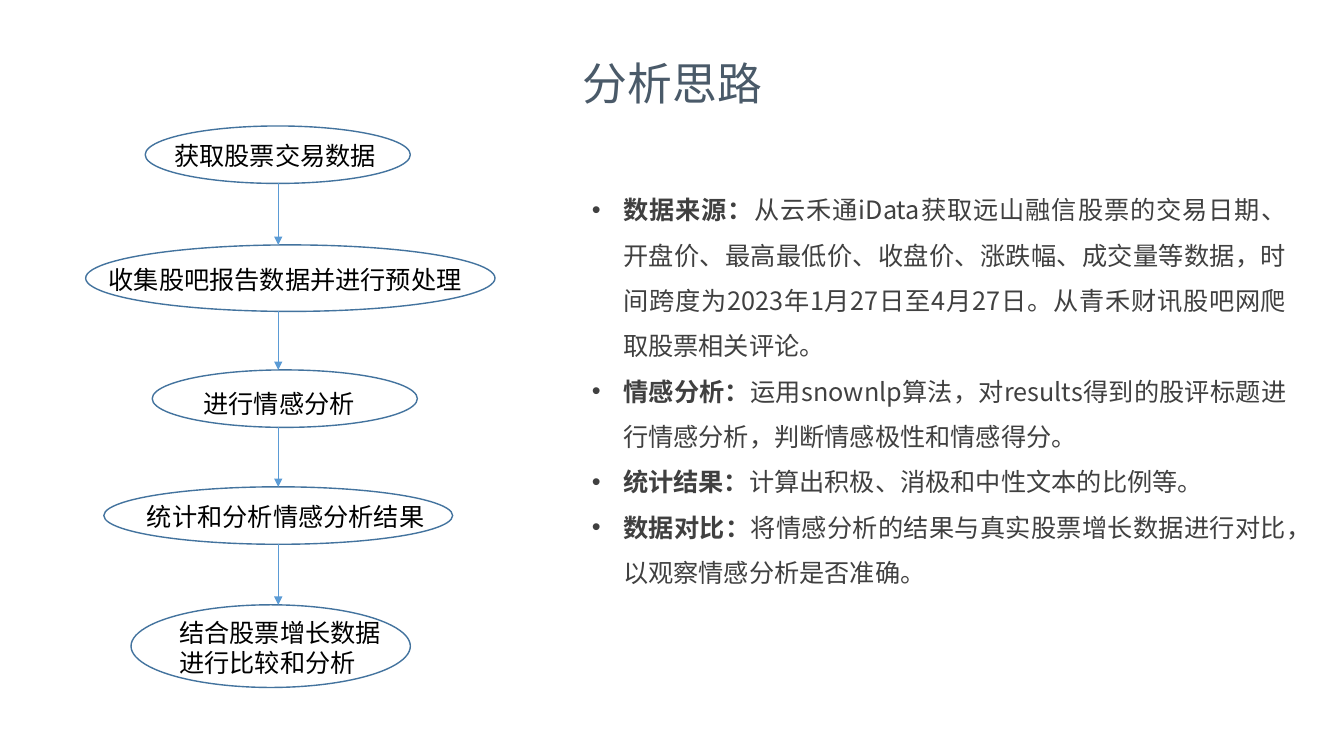
from itertools import pairwise

from lxml.etree import SubElement
from pptx import Presentation
from pptx.dml.color import RGBColor as Rgb
from pptx.enum.shapes import MSO_CONNECTOR as Link, MSO_SHAPE as Kind
from pptx.enum.text import MSO_ANCHOR as Anchor, MSO_AUTO_SIZE as Fit, PP_ALIGN as Align
from pptx.oxml.ns import qn
from pptx.util import Inches, Pt

HUES = {"title": "4A5A69", "body": "404040", "step": "000000", "rim": "43739E", "arrow": "5B9BD5"}
SANS = "Noto Sans CJK SC"
AXIS = 2.76
STEPS = [
    ((1.44, 1.25, 2.63, 0.57), (1.63, 1.34, 2.86, 0.4), "获取股票交易数据"),
    ((0.85, 2.43, 4.06, 0.66), (0.98, 2.57, 4.15, 0.4), "收集股吧报告数据并进行预处理"),
    ((1.51, 3.67, 2.63, 0.57), (1.92, 3.8, 1.88, 0.4), "进行情感分析"),
    ((1.03, 4.83, 3.46, 0.57), (1.36, 4.92, 3.16, 0.4), "统计和分析情感分析结果"),
    ((1.3, 6, 2.77, 0.82), (1.68, 6.07, 2.36, 0.71), "结合股票增长数据进行比较和分析"),
]
NOTES = [
    ("数据来源：", "从云禾通iData获取远山融信股票的交易日期、开盘价、最高最低价、收盘价、涨跌幅、"
     "成交量等数据，时间跨度为2023年1月27日至4月27日。从青禾财讯股吧网爬取股票相关评论。"),
    ("情感分析：", "运用snownlp算法，对results得到的股评标题进行情感分析，判断情感极性和情感得分。"),
    ("统计结果：", "计算出积极、消极和中性文本的比例等。"),
    ("数据对比：", "将情感分析的结果与真实股票增长数据进行对比，以观察情感分析是否准确。"),
]


def apply(item, form):
    for key, value in form.items():
        setattr(item, key, value)


class Deck:
    """Holds the text styles and the current slide."""

    def __init__(self):
        self.show = Presentation()
        apply(self.show, {"slide_width": Inches(13.33), "slide_height": Inches(7.5)})
        self.slide = self.show.slides.add_slide(self.show.slide_layouts[1])
        self.fonts = {
            "title": {"size": Pt(32), "name": SANS},
            "body": {"size": Pt(18), "name": SANS},
            "step": {"size": Pt(18), "name": "Calibri"},
        }

    def place(self, shape, box):
        apply(shape, dict(zip(("left", "top", "width", "height"), map(Inches, box))))

    def words(self, para, text, style, bold=False):
        run = para.add_run()
        run.text = text
        apply(run.font, self.fonts[style] | {"bold": bold})
        run.font.color.rgb = Rgb.from_string(HUES[style])
        if style != "step":
            SubElement(run.font._element, qn("a:ea"), typeface=SANS)

    def title(self, box, text):
        shape = self.slide.shapes.title
        self.place(shape, box)
        frame = shape.text_frame
        apply(frame, {"word_wrap": False, "auto_size": Fit.NONE, "vertical_anchor": Anchor.MIDDLE})
        frame.paragraphs[0].alignment = Align.CENTER
        self.words(frame.paragraphs[0], text, "title")

    def notes(self, box, rows):
        shape = self.slide.placeholders[1]
        self.place(shape, box)
        frame = shape.text_frame
        apply(frame, {"word_wrap": True, "auto_size": Fit.NONE, "vertical_anchor": Anchor.TOP})
        for num, (head, text) in enumerate(rows):
            para = frame.add_paragraph() if num else frame.paragraphs[0]
            apply(para, {"alignment": Align.JUSTIFY, "line_spacing": 1.5, "space_before": Pt(0)})
            props = para._p.get_or_add_pPr()
            props.set("marL", str(Inches(0.31)))
            props.set("indent", str(Inches(-0.31)))
            self.words(para, head, "body", True)
            self.words(para, text, "body")

    def oval(self, box):
        shape = self.slide.shapes.add_shape(Kind.OVAL, *map(Inches, box))
        shape.shadow.inherit = False
        shape.fill.background()
        shape.line.color.rgb = Rgb.from_string(HUES["rim"])
        shape.line.width = Pt(1)

    def label(self, box, text):
        frame = self.slide.shapes.add_textbox(*map(Inches, box)).text_frame
        apply(frame, {"word_wrap": True, "auto_size": Fit.SHAPE_TO_FIT_TEXT})
        self.words(frame.paragraphs[0], text, "step")

    def arrow(self, x, top, end):
        line = self.slide.shapes.add_connector(Link.STRAIGHT, *map(Inches, (x, top, x, end)))
        line.line.color.rgb = Rgb.from_string(HUES["arrow"])
        line.line.width = Pt(0.5)
        SubElement(line.line._get_or_add_ln(), qn("a:tailEnd"), type="triangle")
        SubElement(line._element.spPr, qn("a:effectLst"))


def main():
    deck = Deck()
    deck.title((5.67, 0.5, 2, 0.64), "分析思路")
    for ring, box, text in STEPS:
        deck.oval(ring)
        deck.label(box, text)
    for (prior, *_), (after, *_) in pairwise(STEPS):
        deck.arrow(AXIS, prior[1] + prior[3], after[1])
    deck.notes((5.77, 1.73, 7.09, 4.59), NOTES)
    deck.show.save("out.pptx")


if __name__ == "__main__":
    main()
